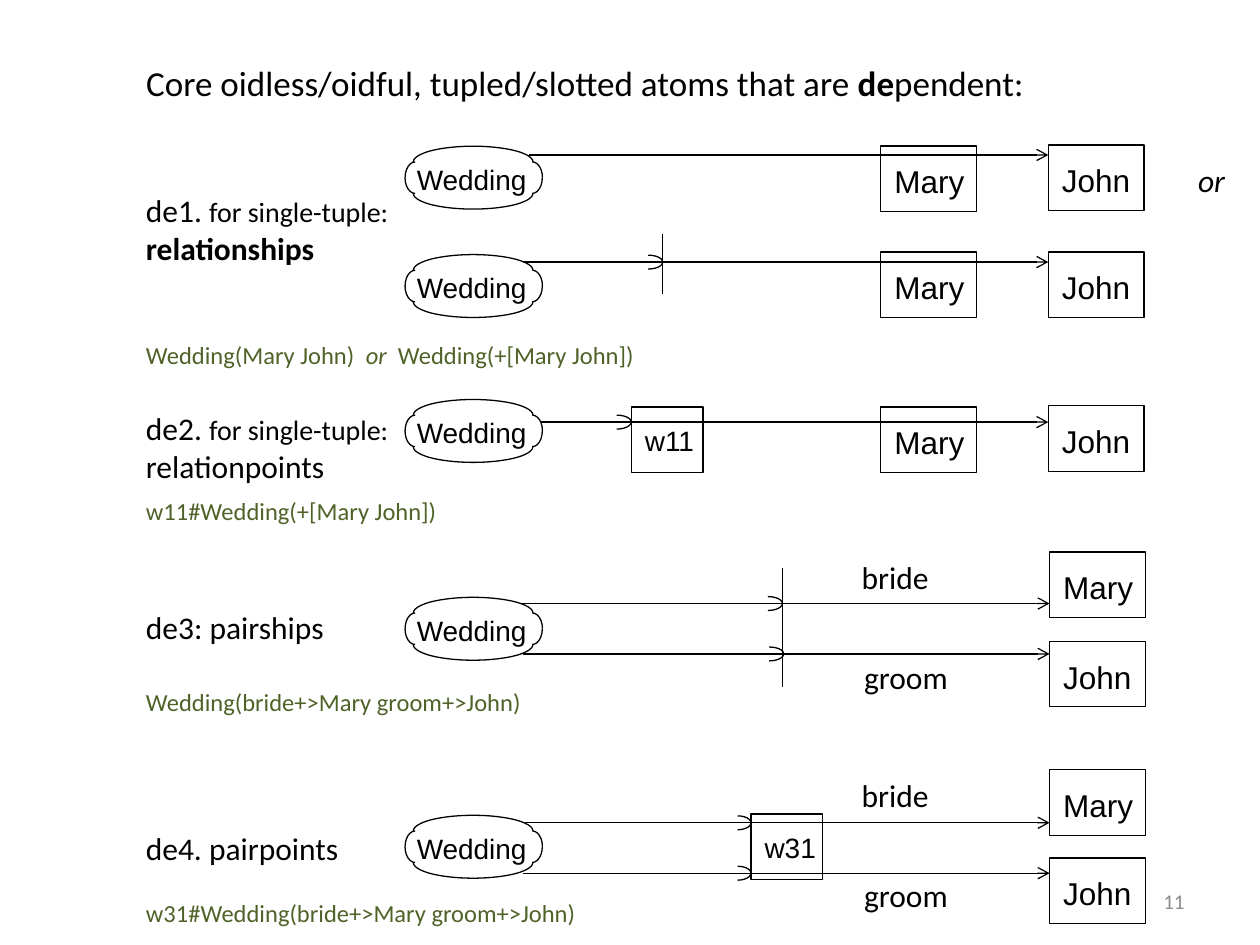
"""Build the slide on dependent atoms drawn as wedding graphs."""
import pptx
import pptx.util
import pptx.dml.color
import pptx.enum.shapes
import pptx.enum.text
import pptx.oxml

COLOURS = {"ink": "000000", "formula": "4F6228", "number": "8C8C8C"}
KIND = pptx.enum.shapes.MSO_SHAPE
ALIGN = pptx.enum.text.PP_ALIGN
ANCHOR = pptx.enum.text.MSO_ANCHOR
FIT = pptx.enum.text.MSO_AUTO_SIZE

TITLE = [[("Core oidless/oidful, tupled/slotted atoms that are ", {}), ("de", {"bold": True}), ("pendent:", {})]]
SINGLE = ("for single-tuple:", {"size": 16})
LABELS = [
    (1.06, 1.47, 2.15, 0.71, [[("de1. ", {}), SINGLE], [("relationships", {"bold": True})]]),
    (1.06, 3.2, 2.15, 0.71, [[("de2. ", {}), SINGLE], [("relationpoints", {})]]),
    (1.06, 4.78, 1.68, 0.4, [[("de3: pairships", {})]]),
    (1.06, 6.53, 1.73, 0.4, [[("de4. pairpoints", {})]]),
    (9.41, 1.23, 0.42, 0.4, [[("or", {"italic": True})]]),
]
ROLES = [("bride", 6.74, 4.38, 0.74), ("groom", 6.76, 5.17, 0.87),
         ("bride", 6.74, 6.11, 0.74), ("groom", 6.76, 6.9, 0.87)]
FORMULAS = [
    (2.65, 4.11, [("Wedding(Mary John)  ", {}), ("or", {"italic": True}), ("  Wedding(+[Mary John])", {})]),
    (3.89, 2.53, [("w11#Wedding(+[Mary John])", {})]),
    (5.4, 3.31, [("Wedding(bride+>Mary groom+>John)", {})]),
    (7.08, 3.65, [("w31#Wedding(bride+>Mary groom+>John)", {})]),
]
CLOUD_TOPS = [1.16, 2.02, 3.17, 4.74, 6.47]
PERSON_WIDTH, POINT_WIDTH = 0.76, 0.57
NODES = [
    ("Mary", 6.99, 1.16), ("John", 8.32, 1.15),
    ("Mary", 6.99, 2.0), ("John", 8.32, 2.0),
    ("Mary", 6.99, 3.23), ("John", 8.32, 3.22),
    ("Mary", 8.33, 4.38), ("John", 8.33, 5.09),
    ("Mary", 8.33, 6.11), ("John", 8.33, 6.81),
    ("w11", 5.01, 3.23), ("w31", 5.96, 6.46),
]
PLAIN_ARROW = (4.2, 8.32, 1.23)
HOOKED_ARROWS = [
    (4.15, 5.26, 8.32, 2.08, 0.23), (4.29, 5.01, 8.32, 3.35, 0.23),
    (4.14, 6.21, 8.33, 4.79, 0.23), (4.15, 6.22, 8.33, 5.19, 0.23),
    (4.17, 5.96, 8.33, 6.53, 0.21), (4.15, 5.96, 8.33, 6.93, 0.21),
]
BARS = [(5.26, 1.86, 2.33), (6.21, 4.51, 5.45)]


def inches(*values):
    return [pptx.util.Cm(value * 2.54) for value in values]


def rgb(name):
    return pptx.dml.color.RGBColor.from_string(COLOURS[name])


def write(frame, paragraphs, size=18, font="Calibri", colour="ink", align=ALIGN.LEFT,
          anchor=ANCHOR.TOP, wrap=False, fit=FIT.SHAPE_TO_FIT_TEXT):
    frame.word_wrap, frame.auto_size, frame.vertical_anchor = wrap, fit, anchor
    for index, runs in enumerate(paragraphs):
        para = frame.add_paragraph() if index else frame.paragraphs[0]
        para.alignment = align
        for text, style in runs:
            span = para.add_run()
            span.text = text
            span.font.name = font
            span.font.size = pptx.util.Pt(style.get("size", size))
            span.font.bold = style.get("bold", False)
            span.font.italic = style.get("italic", False)
            span.font.color.rgb = rgb(colour)


def add_label(canvas, place, paragraphs, **style):
    box = canvas.add_textbox(*inches(*place))
    write(box.text_frame, paragraphs, **style)


def add_outline(canvas, kind, place):
    shape = canvas.add_shape(kind, *inches(*place))
    shape.shadow.inherit = False
    shape.fill.background()
    shape.line.color.rgb = rgb("ink")
    shape.line.width = pptx.util.Pt(0.75)
    return shape


def add_half_ellipse(canvas, place, turn):
    for flip in (("flipV",), ("flipH", "flipV")):
        arc = add_outline(canvas, KIND.ARC, place)
        arc.rotation = turn
        for name in flip:
            arc._element.spPr.xfrm.set(name, "1")


def add_line(canvas, start, end, arrow=False):
    line = canvas.add_connector(pptx.enum.shapes.MSO_CONNECTOR.STRAIGHT, *inches(*start, *end))
    line.line.color.rgb = rgb("ink")
    line.line.width = pptx.util.Pt(0.75)
    namespace = pptx.oxml.ns.nsdecls("a")
    if arrow:
        line.line._get_or_add_ln().append(pptx.oxml.parse_xml(f'<a:tailEnd {namespace} type="arrow"/>'))
    line._element.spPr.append(pptx.oxml.parse_xml(f"<a:effectLst {namespace}/>"))


def add_cloud(page, top):
    canvas = page.shapes.add_group_shape().shapes
    add_label(canvas, (3.21, top + 0.08, 1.08, 0.37), [[("Wedding", {})]], size=16, font="Arial")
    for left, offset, width, height, turn in (
            (3.28, 0, 0.95, 0.25, 180), (3.28, 0.25, 0.95, 0.25, 0),
            (4.1, 0.17, 0.25, 0.16, 270), (3.17, 0.17, 0.25, 0.16, 90)):
        add_half_ellipse(canvas, (left, top + offset, width, height), turn)


def add_node(page, name, left, top):
    point = name.startswith("w")
    width = POINT_WIDTH if point else PERSON_WIDTH
    add_outline(page.shapes, KIND.RECTANGLE, (left, top, width, 0.52))
    add_label(page.shapes, (left + 0.01, top + 0.08, 0.61 if point else width, 0.38),
              [[(name, {})]], size=16 if point else 18, font="Arial", wrap=True)


def add_hooked_arrow(page, start, hook, end, level, length):
    add_line(page.shapes, (start, level), (hook, level))
    add_half_ellipse(page.shapes, (hook - length / 2 - 0.055, level - length / 2, 0.11, length), 270)
    add_line(page.shapes, (hook, level), (end, level), arrow=True)


def main():
    deck = pptx.Presentation()
    deck.slide_width, deck.slide_height = inches(10, 7.5)
    page = deck.slides.add_slide(deck.slide_layouts[5])
    title = page.shapes.title
    title.left, title.top, title.width, title.height = inches(1.06, 0.44, 7.3, 0.44)
    write(title.text_frame, TITLE, size=20)

    for top in CLOUD_TOPS:
        add_cloud(page, top)
    for node in NODES:
        add_node(page, *node)
    start, end, level = PLAIN_ARROW
    add_line(page.shapes, (start, level), (end, level), arrow=True)
    for arrow in HOOKED_ARROWS:
        add_hooked_arrow(page, *arrow)
    for left, top, bottom in BARS:
        add_line(page.shapes, (left, top), (left, bottom))

    for *place, paragraphs in LABELS:
        add_label(page.shapes, place, paragraphs)
    for role, left, top, width in ROLES:
        add_label(page.shapes, (left, top, width, 0.4), [[(role, {})]])
    for top, width, runs in FORMULAS:
        add_label(page.shapes, (1.06, top, width, 0.34), [runs], size=14, colour="formula")
    add_label(page.shapes, (7.17, 6.95, 2.33, 0.4), [[("11", {})]], size=12, colour="number",
              align=ALIGN.RIGHT, anchor=ANCHOR.MIDDLE, wrap=True, fit=FIT.NONE)
    deck.save("out.pptx")


if __name__ == "__main__":
    main()
